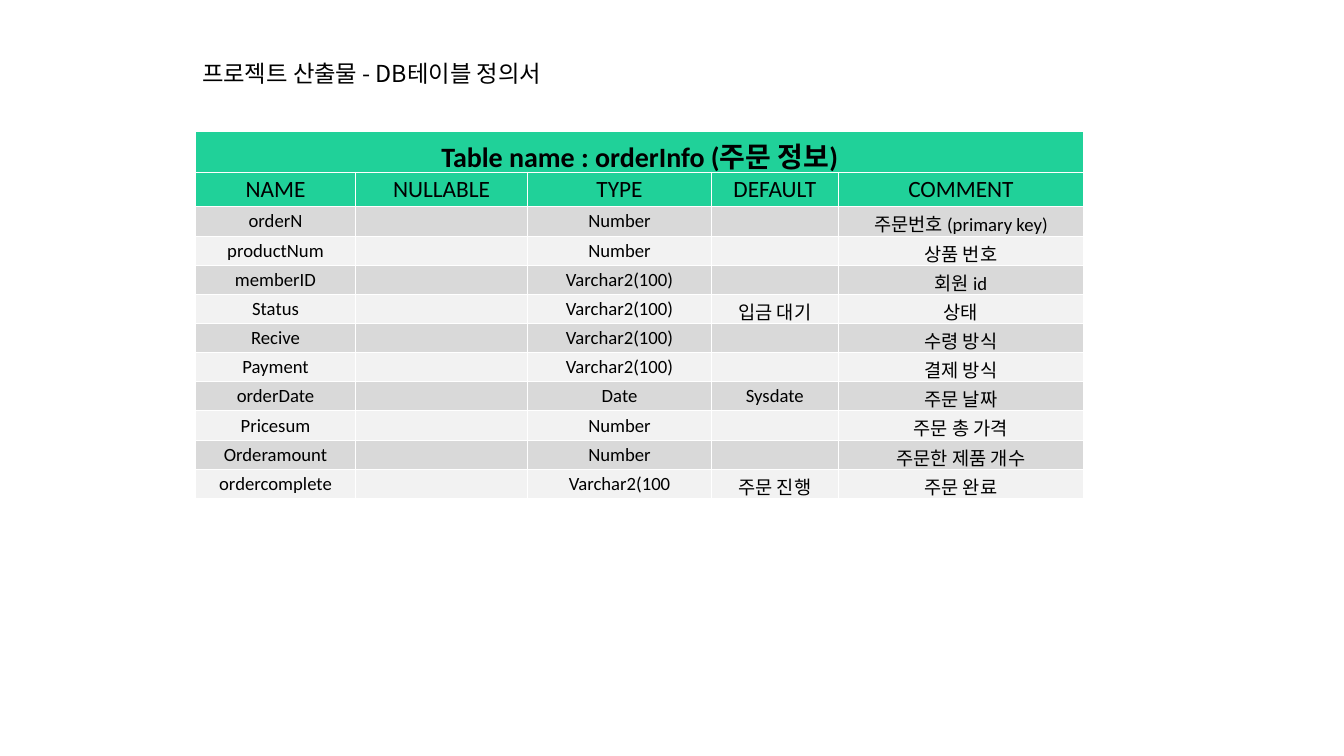
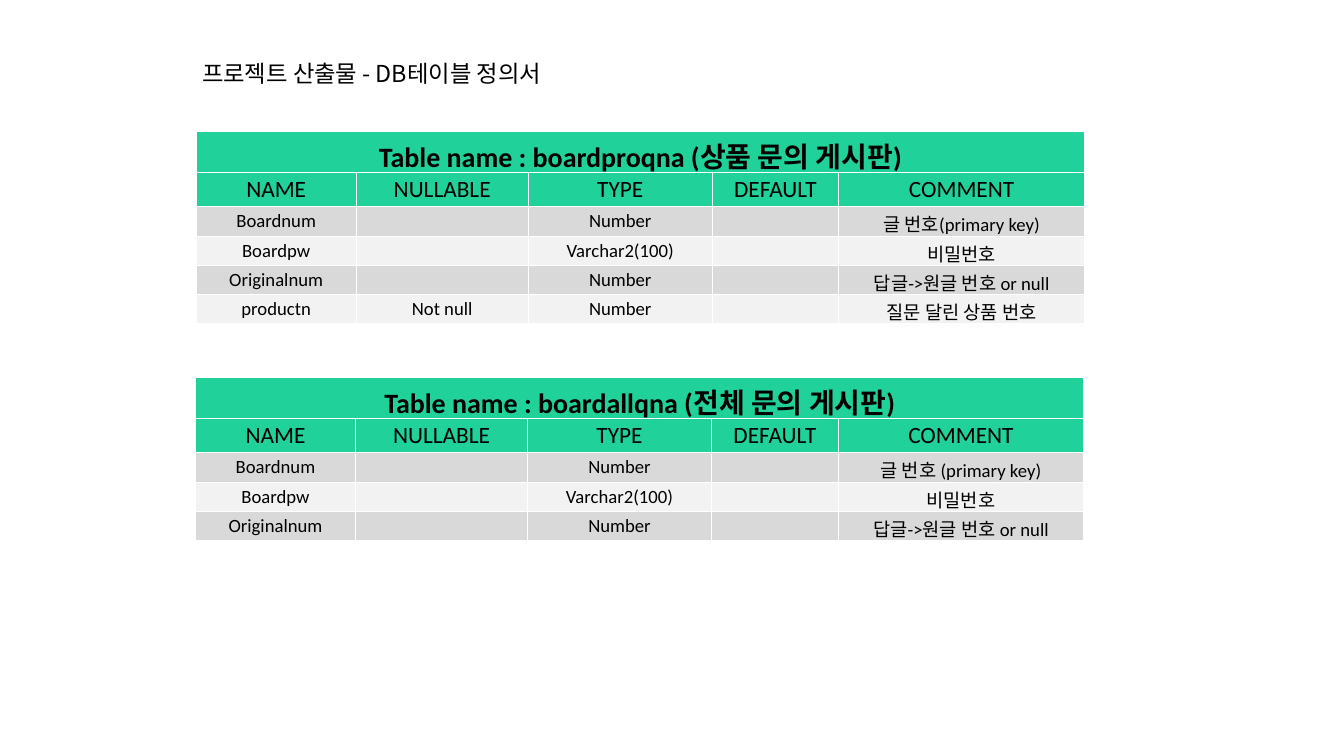
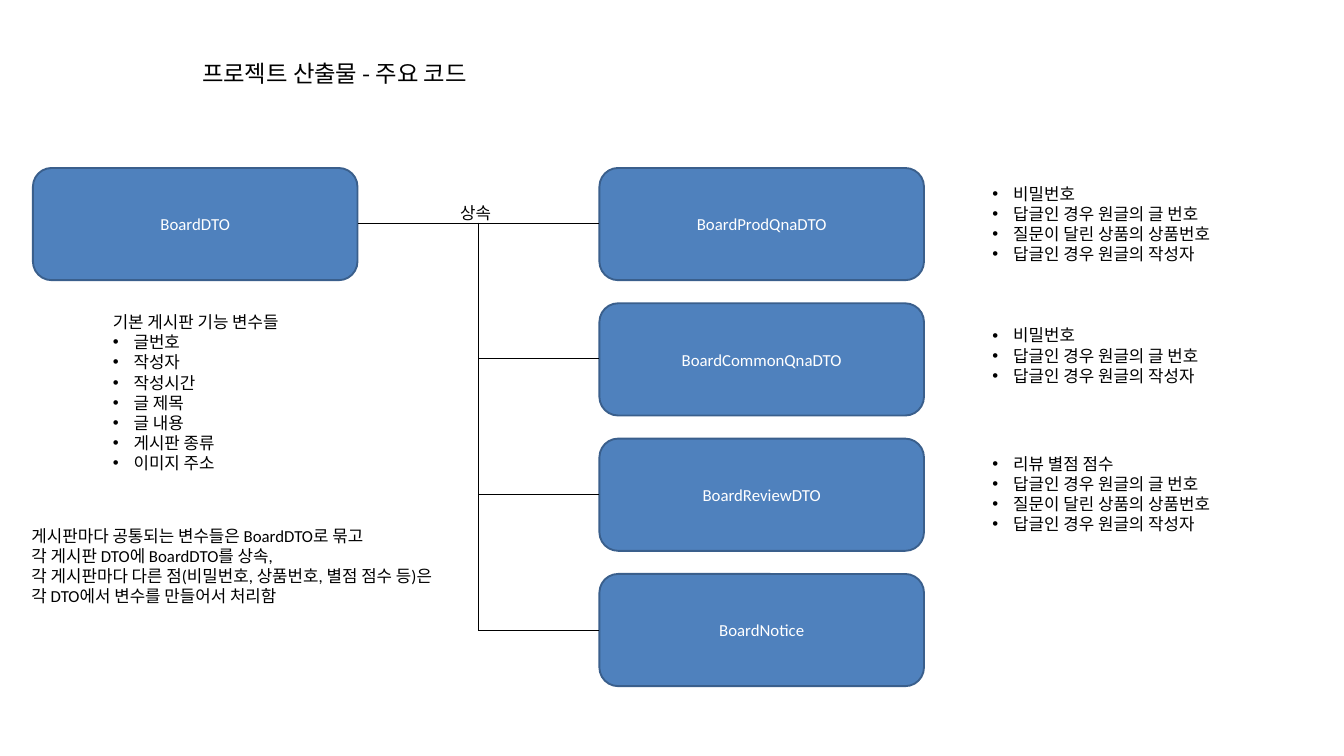
from dataclasses import dataclass

from lxml import etree
from pptx import Presentation
from pptx.dml.color import RGBColor
from pptx.enum.shapes import MSO_SHAPE
from pptx.enum.text import MSO_ANCHOR, MSO_AUTO_SIZE, PP_ALIGN
from pptx.oxml.ns import qn
from pptx.util import Inches, Pt

CENTER = PP_ALIGN.CENTER
MIDDLE = MSO_ANCHOR.MIDDLE
GROW = MSO_AUTO_SIZE.SHAPE_TO_FIT_TEXT
ROUNDED = MSO_SHAPE.ROUNDED_RECTANGLE

SLIDE_WIDTH = Inches(20)
SLIDE_HEIGHT = Inches(11.25)


@dataclass(frozen=True)
class Theme:
    ink: str = "000000"
    paper: str = "FFFFFF"
    heading: str = "20D199"
    bands: tuple[str, str] = ("D9D9D9", "F2F2F2")
    box: str = "4F81BD"
    box_line: str = "3A5F8C"
    font: str = "Calibri"
    title_font: str = "Noto Sans CJK KR"
    table_name_size: int = 30
    title_size: int = 25
    field_size: int = 20
    text_size: int = 18


THEME = Theme()


def across(share: float) -> int:
    """Length from a percentage of the slide's width."""
    return round(SLIDE_WIDTH * share / 100)


def down(share: float) -> int:
    """Length from a percentage of the slide's height."""
    return round(SLIDE_HEIGHT * share / 100)


@dataclass(frozen=True)
class Place:
    """Box in percentages of the slide's width and height."""
    left: float
    top: float
    width: float
    height: float

    def emu(self) -> tuple[int, int, int, int]:
        return across(self.left), down(self.top), across(self.width), down(self.height)


@dataclass(frozen=True)
class Field:
    name: str
    type: str
    comment: str
    default: str = ""
    nullable: str = ""

    def cells(self) -> tuple[str, ...]:
        return self.name, self.nullable, self.type, self.default, self.comment


@dataclass(frozen=True)
class Definition:
    """A database table; row shares are for its name, headings and fields."""
    name: str
    place: Place
    row_shares: tuple[float, float, float]
    fields: tuple[Field, ...]


@dataclass(frozen=True)
class Note:
    place: Place
    lines: tuple[str, ...]
    bullets_from: int = 0


TITLE_PLACE = Place(14.55, 7.38, 36.25, 4.62)
DEFINITION_TITLE = "프로젝트 산출물 - DB테이블 정의서"
CODE_TITLE = "프로젝트 산출물 - 주요 코드"

HEADINGS = ("NAME", "NULLABLE", "TYPE", "DEFAULT", "COMMENT")
COLUMN_SHARES = (11.9, 12.8, 13.7, 9.4, 18.3)
TABLE_WIDTH = 66.1
NUMBER, VARCHAR = "Number", "Varchar2(100)"

PASSWORD_FIELD = Field("Boardpw", VARCHAR, "비밀번호")
ORIGIN_FIELD = Field("Originalnum", NUMBER, "답글->원글 번호 or null")

ORDER_INFO = Definition(
    "Table name : orderInfo (주문 정보)",
    Place(14.55, 17.42, TABLE_WIDTH, 48.44), (4.71, 4.27, 3.47),
    (
        Field("orderN", NUMBER, "주문번호 (primary key)"),
        Field("productNum", NUMBER, "상품 번호"),
        Field("memberID", VARCHAR, "회원 id"),
        Field("Status", VARCHAR, "상태", "입금 대기"),
        Field("Recive", VARCHAR, "수령 방식"),
        Field("Payment", VARCHAR, "결제 방식"),
        Field("orderDate", "Date", "주문 날짜", "Sysdate"),
        Field("Pricesum", NUMBER, "주문 총 가격"),
        Field("Orderamount", NUMBER, "주문한 제품 개수"),
        Field("ordercomplete", "Varchar2(100", "주문 완료", "주문 진행"),
    ),
)
PRODUCT_QNA = Definition(
    "Table name : boardproqna (상품 문의 게시판)",
    Place(14.6, 17.42, TABLE_WIDTH, 25.33), (3.56, 3.2, 2.58),
    (
        Field("Boardnum", NUMBER, "글 번호(primary key)"),
        PASSWORD_FIELD,
        ORIGIN_FIELD,
        Field("productn", NUMBER, "질문 달린 상품 번호", nullable="Not null"),
    ),
)
COMMON_QNA = Definition(
    "Table name : boardallqna (전체 문의 게시판)",
    Place(14.55, 49.96, TABLE_WIDTH, 21.51), (2.22, 1.87, 1.6),
    (
        Field("Boardnum", NUMBER, "글 번호 (primary key)"),
        PASSWORD_FIELD,
        ORIGIN_FIELD,
    ),
)

PARENT_CLASS = "BoardDTO"
CHILD_CLASSES = ("BoardProdQnaDTO", "BoardCommonQnaDTO", "BoardReviewDTO", "BoardNotice")
PARENT_LEFT, CHILD_LEFT = 2.45, 44.6
CLASS_TOP, CLASS_PITCH = 22.22, 17.9
CLASS_WIDTH, CLASS_HEIGHT = 24.15, 14.84
BRANCH_PLACE = Place(26.65, 29.51, 17.94, 53.87)

PASSWORD = "비밀번호"
ORIGIN_NUMBER = "답글인 경우 원글의 글 번호"
ORIGIN_PRODUCT = "질문이 달린 상품의 상품번호"
ORIGIN_AUTHOR = "답글인 경우 원글의 작성자"

NOTES = (
    Note(
        Place(7.9, 40.8, 18.7, 22.4),
        ("기본 게시판 기능 변수들", "글번호", "작성자", "작성시간", "글 제목",
         "글 내용", "게시판 종류", "이미지 주소"),
        bullets_from=1,
    ),
    Note(Place(73.35, 23.82, 20, 11.64),
         (PASSWORD, ORIGIN_NUMBER, ORIGIN_PRODUCT, ORIGIN_AUTHOR)),
    Note(Place(73.35, 42.58, 20, 8.98),
         (PASSWORD, ORIGIN_NUMBER, ORIGIN_AUTHOR)),
    Note(Place(73.35, 59.56, 20, 11.64),
         ("리뷰 별점 점수", ORIGIN_NUMBER, ORIGIN_PRODUCT, ORIGIN_AUTHOR)),
    Note(
        Place(1.85, 69.07, 36.65, 14.4),
        ("게시판마다 공통되는 변수들은 BoardDTO로 묶고",
         "각 게시판 DTO에 BoardDTO를 상속,",
         "각 게시판마다 다른 점(비밀번호, 상품번호, 별점 점수 등)은",
         "각 DTO에서 변수를 만들어서 처리함"),
        bullets_from=4,
    ),
    Note(Place(33.75, 26.31, 4.15, 3.56), ("상속",), bullets_from=1),
)


def add_run(paragraph, text: str, size: int, color: str = THEME.ink,
            font: str = THEME.font, bold: bool = False) -> None:
    run = paragraph.add_run()
    run.text = text
    run.font.size = Pt(size)
    run.font.name = font
    run.font.bold = bold
    run.font.color.rgb = RGBColor.from_string(color)


def add_bullet(paragraph) -> None:
    properties = paragraph._p.get_or_add_pPr()
    properties.set("marL", str(Inches(0.31)))
    properties.set("indent", str(-Inches(0.31)))
    etree.SubElement(properties, qn("a:buFont"), typeface="Arial")
    etree.SubElement(properties, qn("a:buChar"), char="•")


def add_lines(slide, note: Note, size: int = THEME.text_size,
              font: str = THEME.font) -> None:
    frame = slide.shapes.add_textbox(*note.place.emu()).text_frame
    frame.word_wrap = True
    frame.auto_size = GROW
    for index, line in enumerate(note.lines):
        paragraph = frame.add_paragraph() if index else frame.paragraphs[0]
        if index >= note.bullets_from:
            add_bullet(paragraph)
        add_run(paragraph, line, size, font=font)


def add_titled_slide(deck, title: str):
    slide = deck.slides.add_slide(deck.slide_layouts[6])
    add_lines(slide, Note(TITLE_PLACE, (title,), bullets_from=1),
              THEME.title_size, THEME.title_font)
    return slide


def add_grid(slide, place: Place, columns: tuple[float, ...], rows: tuple[float, ...]):
    """Add a table with the given shares, keeping the height of its frame."""
    frame = slide.shapes.add_table(len(rows), len(columns), *place.emu())
    for column, share in zip(frame.table.columns, columns):
        column.width = across(share)
    for row, share in zip(frame.table.rows, rows):
        row.height = down(share)
    frame.height = down(place.height)
    return frame.table


def fill_cell(cell, text: str, fill: str, size: int, bold: bool = False) -> None:
    cell.fill.solid()
    cell.fill.fore_color.rgb = RGBColor.from_string(fill)
    if text:
        paragraph = cell.text_frame.paragraphs[0]
        paragraph.alignment = CENTER
        add_run(paragraph, text, size, bold=bold)


def add_definition(slide, definition: Definition) -> None:
    name_share, heading_share, field_share = definition.row_shares
    shares = (name_share, heading_share) + (field_share,) * len(definition.fields)
    table = add_grid(slide, definition.place, COLUMN_SHARES, shares)
    table.cell(0, 0).merge(table.cell(0, len(HEADINGS) - 1))
    fill_cell(table.cell(0, 0), definition.name, THEME.heading,
              THEME.table_name_size, bold=True)
    for column, heading in enumerate(HEADINGS):
        fill_cell(table.cell(1, column), heading, THEME.heading, THEME.title_size)
    for index, field in enumerate(definition.fields):
        for column, text in enumerate(field.cells()):
            fill_cell(table.cell(index + 2, column), text,
                      THEME.bands[index % 2], THEME.field_size)


def set_borders(cell, drawn: set[str]) -> None:
    """Draw the named sides (L, R, T, B) and clear the others and the fill."""
    properties = cell._tc.get_or_add_tcPr()
    for side in "LRTB":
        line = etree.SubElement(properties, qn(f"a:ln{side}"), w=str(Pt(1)))
        if side in drawn:
            solid = etree.SubElement(line, qn("a:solidFill"))
            etree.SubElement(solid, qn("a:srgbClr"), val=THEME.ink)
        else:
            etree.SubElement(line, qn("a:noFill"))
    cell.fill.background()


def add_branches(slide) -> None:
    """Draw the inheritance tree as the borders of a table."""
    gaps = len(CHILD_CLASSES) - 1
    table = add_grid(slide, BRANCH_PLACE, (BRANCH_PLACE.width / 2,) * 2,
                     (BRANCH_PLACE.height / gaps,) * gaps)
    table.first_row = table.horz_banding = False
    for row in range(gaps):
        set_borders(table.cell(row, 0), {"R"} if row else {"R", "T"})
        set_borders(table.cell(row, 1), {"L", "T", "B"})


def add_class_box(slide, name: str, left: float, level: int = 0) -> None:
    place = Place(left, CLASS_TOP + level * CLASS_PITCH, CLASS_WIDTH, CLASS_HEIGHT)
    box = slide.shapes.add_shape(ROUNDED, *place.emu())
    box.shadow.inherit = False
    box.fill.solid()
    box.fill.fore_color.rgb = RGBColor.from_string(THEME.box)
    box.line.color.rgb = RGBColor.from_string(THEME.box_line)
    box.line.width = Pt(2)
    box.text_frame.vertical_anchor = MIDDLE
    paragraph = box.text_frame.paragraphs[0]
    paragraph.alignment = CENTER
    add_run(paragraph, name, THEME.text_size, THEME.paper)


def main() -> None:
    deck = Presentation()
    deck.slide_width, deck.slide_height = SLIDE_WIDTH, SLIDE_HEIGHT

    for definitions in ((ORDER_INFO,), (PRODUCT_QNA, COMMON_QNA)):
        slide = add_titled_slide(deck, DEFINITION_TITLE)
        for definition in definitions:
            add_definition(slide, definition)

    slide = add_titled_slide(deck, CODE_TITLE)
    add_class_box(slide, PARENT_CLASS, PARENT_LEFT)
    for level, name in enumerate(CHILD_CLASSES):
        add_class_box(slide, name, CHILD_LEFT, level)
    add_branches(slide)
    for note in NOTES:
        add_lines(slide, note)

    deck.save("out.pptx")


if __name__ == "__main__":
    main()
